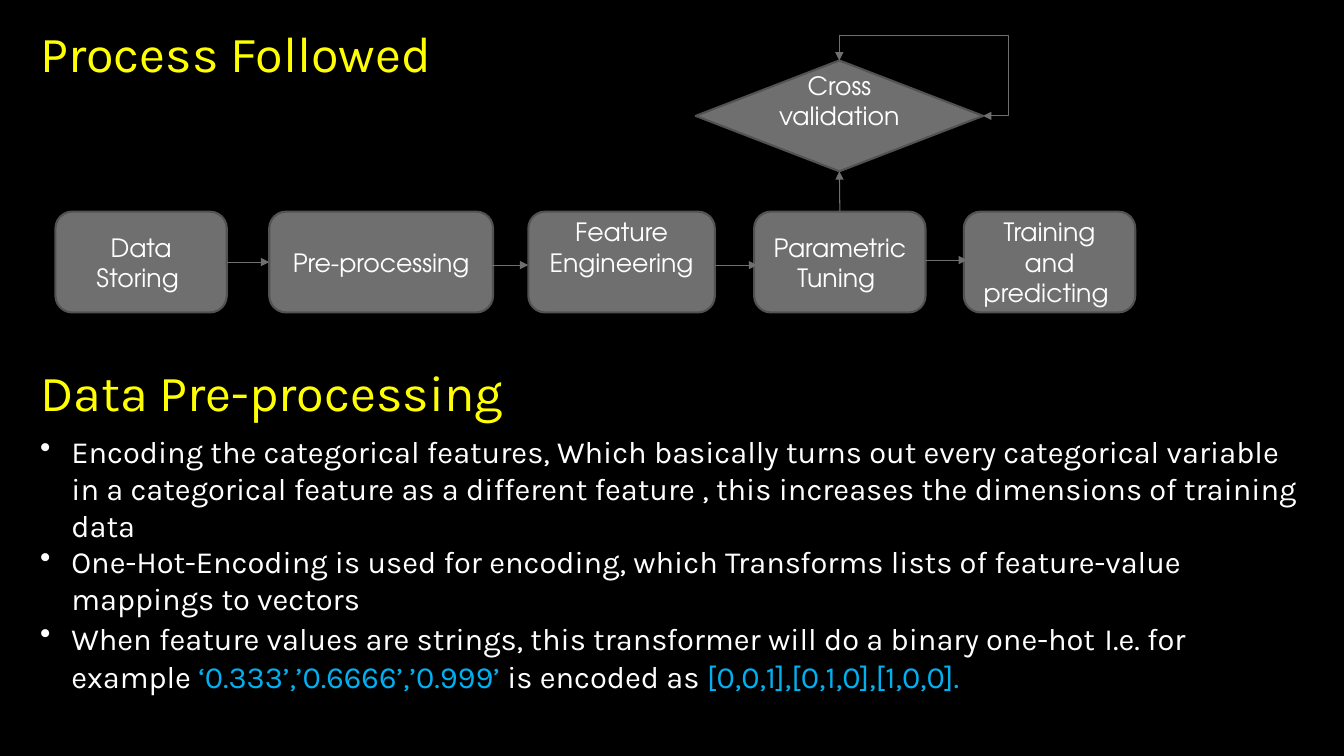
"""Build the slide showing the modelling process and the data pre-processing notes."""
from lxml import etree
from pptx import Presentation
from pptx.dml.color import RGBColor
from pptx.enum import shapes, text
from pptx.oxml import ns
from pptx.util import Inches, Pt

BLACK = RGBColor(0x00, 0x00, 0x00)
WHITE = RGBColor(0xFF, 0xFF, 0xFF)
YELLOW = RGBColor(0xFF, 0xFF, 0x00)
BLUE = RGBColor(0x00, 0xB0, 0xF0)
GREY = RGBColor(0x6F, 0x6F, 0x6F)
DARK_GREY = RGBColor(0x52, 0x52, 0x52)
BODY_FONT = "Karla"
STEP_FONT = "TeX Gyre Adventor"


def add_run(paragraph, words, size, font, color):
    run = paragraph.add_run()
    run.text = words
    run.font.size = Pt(size)
    run.font.name = font
    run.font.color.rgb = color


def style_arrow(arrow, *ends):
    arrow.line.color.rgb = GREY
    arrow.line.width = Pt(0.75)
    outline = arrow.line._get_or_add_ln()
    for end in ends:
        etree.SubElement(outline, ns.qn(f"a:{end}"), type="triangle")
    etree.SubElement(arrow._element.spPr, ns.qn("a:effectLst"))


deck = Presentation()
deck.slide_width, deck.slide_height = Inches(13.33), Inches(7.5)
slide = deck.slides.add_slide(deck.slide_layouts[6])
slide.background.fill.solid()
slide.background.fill.fore_color.rgb = BLACK

for heading, top, width in [("Process Followed", 0.17, 4.49), ("Data Pre-processing", 3.53, 7.17)]:
    heading_box = slide.shapes.add_textbox(Inches(0.3), Inches(top), Inches(width), Inches(0.71))
    heading_box.text_frame.word_wrap = True
    add_run(heading_box.text_frame.paragraphs[0], heading, 36, BODY_FONT, YELLOW)

notes = [
    [("Encoding the categorical features, Which basically turns out every categorical variable "
      "in a categorical feature as a different feature , this increases the dimensions of "
      "training data", 22, BODY_FONT, WHITE)],
    [("One-Hot-Encoding is used for encoding, which Transforms lists of feature-value "
      "mappings to vectors", 22, BODY_FONT, WHITE)],
    [("When feature values are strings, this transformer will do a binary one-hot",
      22, BODY_FONT, WHITE),
     (" ", 24, STEP_FONT, WHITE),
     ("I.e. for example ", 22, BODY_FONT, WHITE),
     ("‘0.333’,’0.6666’,’0.999’ ", 22, BODY_FONT, BLUE),
     ("is encoded as ", 22, BODY_FONT, WHITE),
     ("[0,0,1],[0,1,0],[1,0,0].", 22, BODY_FONT, BLUE)],
]
notes_frame = slide.shapes.add_textbox(
    Inches(0.3), Inches(4.24), Inches(12.72), Inches(3.06)).text_frame
notes_frame.word_wrap = True
for index, note in enumerate(notes):
    bullet = notes_frame.add_paragraph() if index else notes_frame.paragraphs[0]
    indent = bullet._p.get_or_add_pPr()
    indent.set("marL", str(Inches(0.31)))
    indent.set("indent", str(Inches(-0.31)))
    etree.SubElement(indent, ns.qn("a:buChar"), char="•")
    for part in note:
        add_run(bullet, *part)

BOX, DIAMOND = shapes.MSO_SHAPE.ROUNDED_RECTANGLE, shapes.MSO_SHAPE.DIAMOND
steps = []
for kind, label, left, top, width, height, inset_top, inset_bottom in [
    (BOX, "Data Storing ", 0.55, 2.1, 1.7, 1, 0.05, 0.05),
    (BOX, "Pre-processing", 2.67, 2.1, 2.22, 1, 0.05, 0.05),
    (BOX, "Feature Engineering", 5.24, 2.1, 1.85, 1, 0.05, 0.35),
    (BOX, "Parametric Tuning ", 7.48, 2.1, 1.7, 1, 0.05, 0.05),
    (BOX, "Training and predicting ", 9.56, 2.1, 1.7, 1, 0.05, 0.05),
    (DIAMOND, "Cross validation", 6.9, 0.6, 2.85, 1.1, 0, 0.3),
]:
    step = slide.shapes.add_shape(kind, Inches(left), Inches(top), Inches(width), Inches(height))
    step.shadow.inherit = False
    step.fill.solid()
    step.fill.fore_color.rgb = GREY
    step.line.color.rgb = DARK_GREY
    step.line.width = Pt(1.5)
    frame = step.text_frame
    frame.word_wrap = True
    frame.vertical_anchor = text.MSO_ANCHOR.MIDDLE
    frame.margin_top, frame.margin_bottom = Inches(inset_top), Inches(inset_bottom)
    frame.paragraphs[0].alignment = text.PP_ALIGN.CENTER
    add_run(frame.paragraphs[0], label, 18, STEP_FONT, WHITE)
    steps.append(step)
storing, preprocessing, engineering, tuning, training, validation = steps

STRAIGHT, ELBOW = shapes.MSO_CONNECTOR.STRAIGHT, shapes.MSO_CONNECTOR.ELBOW
for start, end, height in [(4.83, 5.24, 2.63), (7.09, 7.51, 2.63), (9.17, 9.59, 2.58)]:
    style_arrow(slide.shapes.add_connector(
        STRAIGHT, Inches(start), Inches(height), Inches(end), Inches(height)), "tailEnd")

for source, source_side, target, target_side in [
    (storing, 3, preprocessing, 1), (tuning, 0, validation, 2),
]:
    joined = slide.shapes.add_connector(STRAIGHT, 0, 0, 0, 0)
    joined.begin_connect(source, source_side)
    joined.end_connect(target, target_side)
    style_arrow(joined, "tailEnd")

loop = slide.shapes.add_connector(ELBOW, Inches(9.75), Inches(1.15), Inches(8.33), Inches(0.6))
loop.begin_connect(validation, 3)
loop.end_connect(validation, 0)
bend = loop._element.spPr.find(ns.qn("a:prstGeom"))
bend.set("prst", "bentConnector4")
bend_guides = bend.find(ns.qn("a:avLst"))
for guide, share in [("adj1", -17500), ("adj2", 145400)]:
    etree.SubElement(bend_guides, ns.qn("a:gd"), name=guide, fmla=f"val {share}")
style_arrow(loop, "headEnd", "tailEnd")

deck.save("out.pptx")
